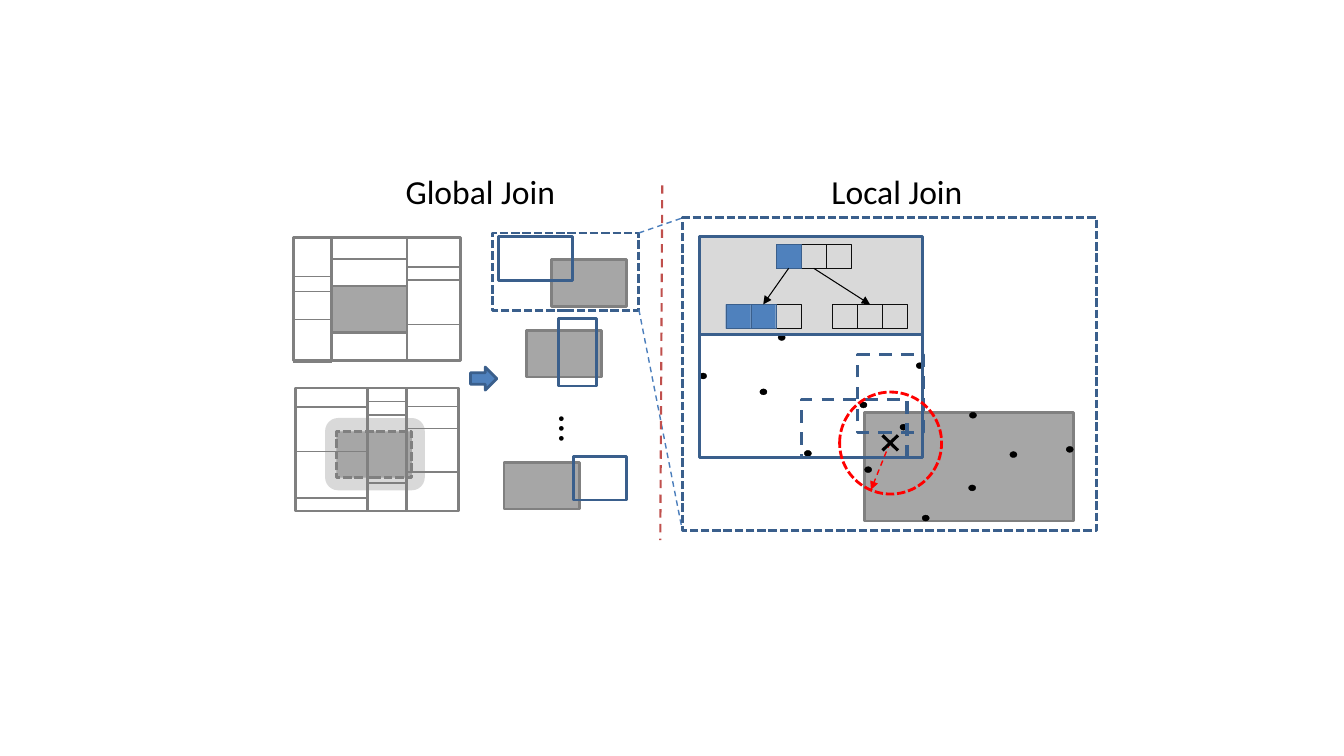
from itertools import pairwise

from lxml.etree import SubElement
from pptx import Presentation
from pptx.dml.color import RGBColor
from pptx.enum.dml import MSO_LINE as Dash
from pptx.enum.shapes import MSO_CONNECTOR as Link, MSO_SHAPE as Kind
from pptx.enum.text import MSO_AUTO_SIZE as Fit, PP_ALIGN as Align
from pptx.oxml.ns import qn
from pptx.util import Cm, Pt

BLACK = RGBColor(0x00, 0x00, 0x00)
INK = RGBColor(0x0D, 0x0D, 0x0D)
EDGE = RGBColor(0x80, 0x80, 0x80)
GRAY = RGBColor(0xA6, 0xA6, 0xA6)
PALE = RGBColor(0xD9, 0xD9, 0xD9)
BLUE = RGBColor(0x4F, 0x81, 0xBD)
NAVY = RGBColor(0x3A, 0x5F, 0x8C)
SKY = RGBColor(0x4B, 0x7E, 0xBC)
BRICK = RGBColor(0xC0, 0x50, 0x4D)
RED = RGBColor(0xFF, 0x00, 0x00)

CELL_W, CELL_H = 0.63, 0.61
TOP, BOTTOM = 0, 2


class Sketch:
    """Holds the text style and the slide being drawn."""

    def __init__(self, slide, font="Calibri"):
        self.slide = slide
        self.font = font

    def stroke(self, item, color, width, dash):
        item.line.color.rgb = color
        item.line.width = Pt(width)
        if dash:
            item.line.dash_style = dash

    def shape(self, x, y, w, h, kind=Kind.RECTANGLE, fill=None, color=NAVY, width=2, dash=None):
        item = self.slide.shapes.add_shape(kind, Cm(x), Cm(y), Cm(w), Cm(h))
        item.shadow.inherit = False
        if fill is None:
            item.fill.background()
        else:
            item.fill.solid()
            item.fill.fore_color.rgb = fill
        self.stroke(item, color, width, dash)
        return item

    def line(self, x1, y1, x2, y2, color=EDGE, width=1, dash=None, head=False):
        item = self.slide.shapes.add_connector(
            Link.STRAIGHT, Cm(x1), Cm(y1), Cm(x2), Cm(y2))
        self.stroke(item, color, width, dash)
        props = item._element.spPr
        if head:
            SubElement(props.find(qn("a:ln")), qn("a:tailEnd"), type="triangle")
        SubElement(props, qn("a:effectLst"))
        return item

    def join(self, start, end):
        """Draw an arrow from the bottom of one box to the top of the next."""
        item = self.line(0, 0, 1, 1, color=BLACK, width=0.75, head=True)
        item.begin_connect(start, BOTTOM)
        item.end_connect(end, TOP)

    def text(self, words, x, y, w, h, size=24, align=Align.CENTER, wrap=True, turn=None):
        box = self.slide.shapes.add_textbox(Cm(x), Cm(y), Cm(w), Cm(h))
        frame = box.text_frame
        frame.word_wrap = wrap
        frame.auto_size = Fit.SHAPE_TO_FIT_TEXT
        if turn:
            frame._txBody.bodyPr.set("vert", turn)
        para = frame.paragraphs[0]
        para.alignment = align
        run = para.add_run()
        run.text = words
        run.font.name = self.font
        run.font.size = Pt(size)
        run.font.color.rgb = BLACK

    def grid(self, top, edges, rows):
        """Draw columns between the edges, each split at its own heights."""
        for (left, right), splits in zip(pairwise(edges), rows):
            self.shape(left, top, right - left, 3.1, color=EDGE)
            for y in splits:
                self.line(left, y, right, y)

    def block(self, x, y, dash=None):
        self.shape(x, y, 1.9, 1.17, fill=GRAY, color=EDGE, dash=dash)

    def node(self, x, y, full):
        """Draw a three-cell tree node; return its outline and filled cells."""
        frame = self.shape(x, y, 3 * CELL_W, CELL_H, color=INK, width=0.25)
        for i in (1, 2):
            mid = x + i * CELL_W
            self.line(mid, y, mid, y + CELL_H, color=INK, width=0.25)
        cells = [self.shape(x + i * CELL_W, y, CELL_W, CELL_H, fill=BLUE, width=0.25)
                 for i in range(full)]
        return frame, cells


def draw_global(art):
    art.shape(12.42, 5.87, 3.68, 1.96, dash=Dash.SQUARE_DOT)
    art.shape(8.23, 10.57, 2.44, 1.75, Kind.ROUNDED_RECTANGLE, fill=PALE, color=PALE)
    art.block(8.48, 10.87, dash=Dash.SQUARE_DOT)
    art.grid(5.99, (7.39, 8.36, 10.26, 11.61),
             ((6.96, 7.34, 8.05, 9.12), (6.53, 7.24, 8.38), (6.73, 7.06, 8.18)))
    art.grid(9.78, (7.44, 9.27, 10.24, 11.56),
             ((10.26, 11.38, 12.55, 12.88), (10.11, 10.46, 12.17), (10.24, 10.8, 11.89)))
    art.block(8.36, 7.21)
    art.shape(11.86, 9.25, 0.66, 0.58, Kind.RIGHT_ARROW, fill=BLUE)
    art.text("…", 13.41, 10.21, 1.8, 0.99, size=28, align=Align.LEFT,
             wrap=False, turn="eaVert")
    for x, y in ((12.7, 11.66), (13.89, 6.55), (13.26, 8.33)):
        art.block(x, y)
    for box in ((14.45, 11.51, 1.35, 1.09), (12.57, 5.97, 1.85, 1.09),
                (14.07, 8.03, 0.97, 1.7)):
        art.shape(*box)
    art.text("Global Join", 9.55, 4.19, 5.11, 1.27)


def draw_zoom(art):
    for y1, y2 in ((5.87, 5.49), (7.8, 13.39)):
        art.line(16.1, y1, 17.2, y2, color=SKY, dash=Dash.DASH)
    art.line(16.69, 4.67, 16.64, 13.61, color=BRICK, width=1.5, dash=Dash.DASH)


def draw_local(art):
    art.text("Local Join", 20.42, 4.19, 4.37, 1.27)
    art.shape(21.79, 10.39, 5.26, 2.74, fill=GRAY, color=EDGE)
    art.shape(21.62, 8.94, 1.65, 1.96, width=2.25, dash=Dash.DASH)
    points = ((24.43, 10.39), (26.87, 11.25), (24.41, 12.22), (25.45, 11.38),
              (21.79, 11.76), (23.24, 12.98), (21.67, 10.13), (19.15, 9.8),
              (19.61, 8.43), (20.27, 11.35), (22.68, 10.69), (23.09, 9.14),
              (17.63, 9.4))
    for x, y in points:
        art.shape(x, y, 0.18, 0.15, Kind.FLOWCHART_CONNECTOR, fill=BLACK,
                  color=BLACK, width=0.25)
    art.shape(17.63, 8.15, 5.61, 3.38)
    art.shape(17.63, 5.97, 5.61, 2.46, fill=PALE)
    art.shape(20.19, 10.06, 2.67, 1.47, width=2.25, dash=Dash.DASH)
    art.shape(17.2, 5.49, 10.44, 7.87, dash=Dash.SQUARE_DOT)

    root, keys = art.node(19.56, 6.15, 1)
    _, hits = art.node(18.29, 7.67, 2)
    leaf, _ = art.node(20.98, 7.67, 0)
    art.join(keys[0], hits[1])
    art.join(root, leaf)

    art.shape(21.16, 9.88, 2.57, 2.57, Kind.OVAL, color=RED, dash=Dash.SQUARE_DOT)
    art.line(22.43, 11.15, 21.95, 12.34, color=RED, dash=Dash.DASH, head=True)
    for y1, y2 in ((11.35, 10.97), (10.97, 11.35)):
        art.line(22.24, y1, 22.63, y2, color=BLACK, width=2.25)


def main():
    deck = Presentation()
    deck.slide_width, deck.slide_height = Cm(33.87), Cm(19.05)
    art = Sketch(deck.slides.add_slide(deck.slide_layouts[6]))
    draw_global(art)
    draw_zoom(art)
    draw_local(art)
    deck.save("out.pptx")


if __name__ == "__main__":
    main()
